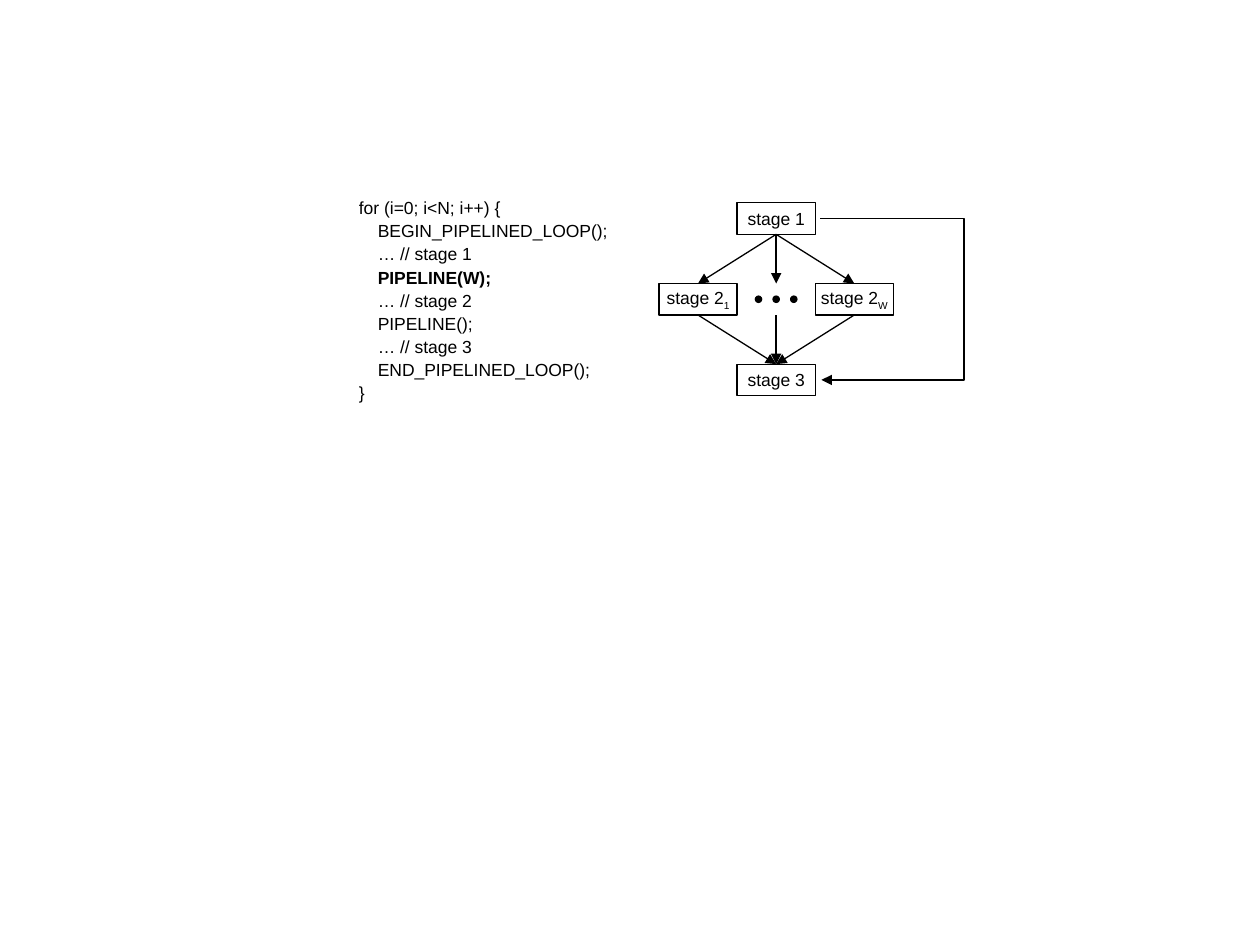
"""Build a slide showing a pipelined loop beside its stage diagram."""
from lxml.etree import SubElement
from pptx import Presentation
from pptx.dml.color import RGBColor
from pptx.enum.shapes import MSO_CONNECTOR, MSO_SHAPE
from pptx.enum.text import MSO_ANCHOR, PP_ALIGN
from pptx.oxml.ns import qn
from pptx.util import Inches, Pt

LEFT, TOP = 5.23, 1.61
COL, ROW = 0.62, 0.64
BOX_H = 0.25
DOT, DOT_GAP = 0.05, 0.14
BLACK = "000000"


def color(fmt, value):
    fmt.rgb = RGBColor.from_string(value)


def write(p, text, size=10, bold=False, sub=False, font="Arial", fill=BLACK):
    r = p.add_run()
    r.text = text
    r.font.size, r.font.bold, r.font.name = Pt(size), bold, font
    color(r.font.color, fill)
    if sub:
        r.font._element.set("baseline", "-25000")


prs = Presentation()
prs.slide_width, prs.slide_height = Inches(10), Inches(7.5)
s = prs.slides.add_slide(prs.slide_layouts[6])

code = [
    (0, "for (i=0; i<N; i++) {"),
    (1, "BEGIN_PIPELINED_LOOP();"),
    (1, "… // stage 1"),
    (1, "PIPELINE(W);"),
    (1, "… // stage 2"),
    (1, "PIPELINE();"),
    (1, "… // stage 3"),
    (1, "END_PIPELINED_LOOP();"),
    (0, "}"),
]
tf = s.shapes.add_textbox(Inches(2.75), Inches(1.5), Inches(2.58), Inches(1.75)).text_frame
tf.word_wrap = True
for i, (level, line) in enumerate(code):
    p = tf.paragraphs[0] if i == 0 else tf.add_paragraph()
    p.line_spacing = Pt(13.2)
    p._p.get_or_add_pPr().set("marL", str(Inches(0.15 * level)))
    write(p, line, bold=line == "PIPELINE(W);")

stages = [
    ("first", 1, 0, "stage 1", ""),
    ("left", 0, 1, "stage 2", "1"),
    ("right", 2, 1, "stage 2", "W"),
    ("last", 1, 2, "stage 3", ""),
]
boxes = {}
for name, col, row, label, index in stages:
    sp = s.shapes.add_shape(MSO_SHAPE.RECTANGLE, Inches(LEFT + col * COL),
                            Inches(TOP + row * ROW), Inches(COL), Inches(BOX_H))
    sp.shadow.inherit = False
    sp.fill.background()
    color(sp.line.color, BLACK)
    sp.line.width = Pt(0.75)
    tf = sp.text_frame
    tf.margin_left = tf.margin_right = tf.margin_top = tf.margin_bottom = 0
    tf.word_wrap, tf.vertical_anchor = False, MSO_ANCHOR.MIDDLE
    p = tf.paragraphs[0]
    p.alignment = PP_ALIGN.CENTER
    write(p, label)
    if index:
        write(p, index, sub=True)
    boxes[name] = sp

mid_x, mid_y = LEFT + 1.5 * COL, TOP + ROW + BOX_H / 2
for k in (-1, 0, 1):
    sp = s.shapes.add_shape(MSO_SHAPE.OVAL, Inches(mid_x + k * DOT_GAP - DOT / 2),
                            Inches(mid_y - DOT / 2), Inches(DOT), Inches(DOT))
    sp.shadow.inherit = False
    sp.fill.solid()
    color(sp.fill.fore_color, BLACK)
    color(sp.line.color, BLACK)
    sp.line.width = Pt(0.75)

side_x = LEFT + 2 * COL + 0.04
side_y = TOP + BOX_H / 2
loop_reach = 1.16
loop_step = 0.01
gap_top, gap_bottom = (mid_x, TOP + ROW), (mid_x, TOP + ROW + BOX_H)
arrows = [
    ("first", "left", None, None),
    ("first", "right", None, None),
    ("first", None, None, gap_top),
    ("left", "last", None, None),
    ("right", "last", None, None),
    (None, "last", gap_bottom, None),
    (None, None, (side_x, side_y), (side_x + loop_step, side_y + 2 * ROW)),
]
for source, target, start, end in arrows:
    bent = bool(start and end)
    kind = MSO_CONNECTOR.ELBOW if bent else MSO_CONNECTOR.STRAIGHT
    x1, y1 = start or (mid_x, TOP + BOX_H)
    x2, y2 = end or (mid_x, TOP + 2 * ROW)
    c = s.shapes.add_connector(kind, Inches(x1), Inches(y1), Inches(x2), Inches(y2))
    if source:
        c.begin_connect(boxes[source], 2)
    if target:
        c.end_connect(boxes[target], 0)
    color(c.line.color, BLACK)
    c.line.width = Pt(0.75)
    SubElement(c.line._get_or_add_ln(), qn("a:tailEnd"), type="triangle")
    SubElement(c._element.spPr, qn("a:effectLst"))
    if bent:
        guides = c._element.spPr.find(qn("a:prstGeom")).get_or_add_avLst()
        SubElement(guides, qn("a:gd"), name="adj1",
                   fmla=f"val {round(loop_reach / loop_step * 100000)}")

prs.save("out.pptx")
